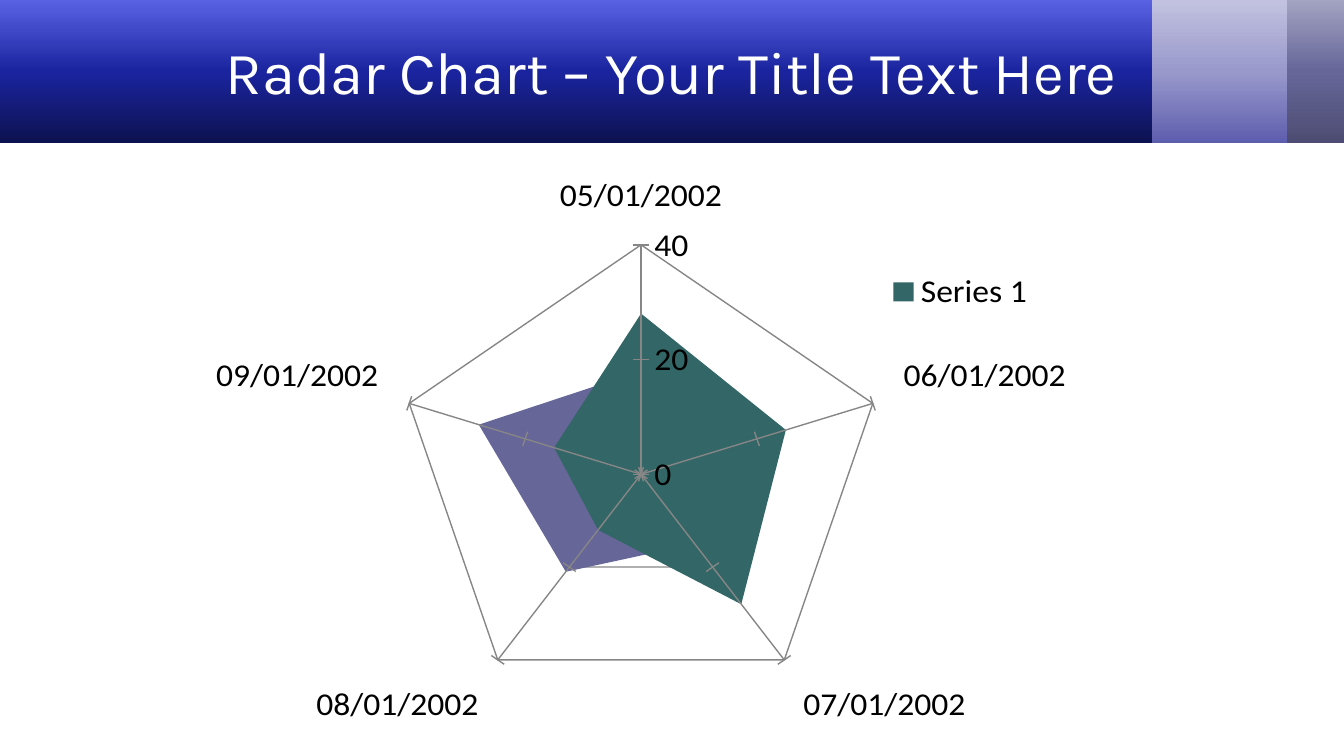
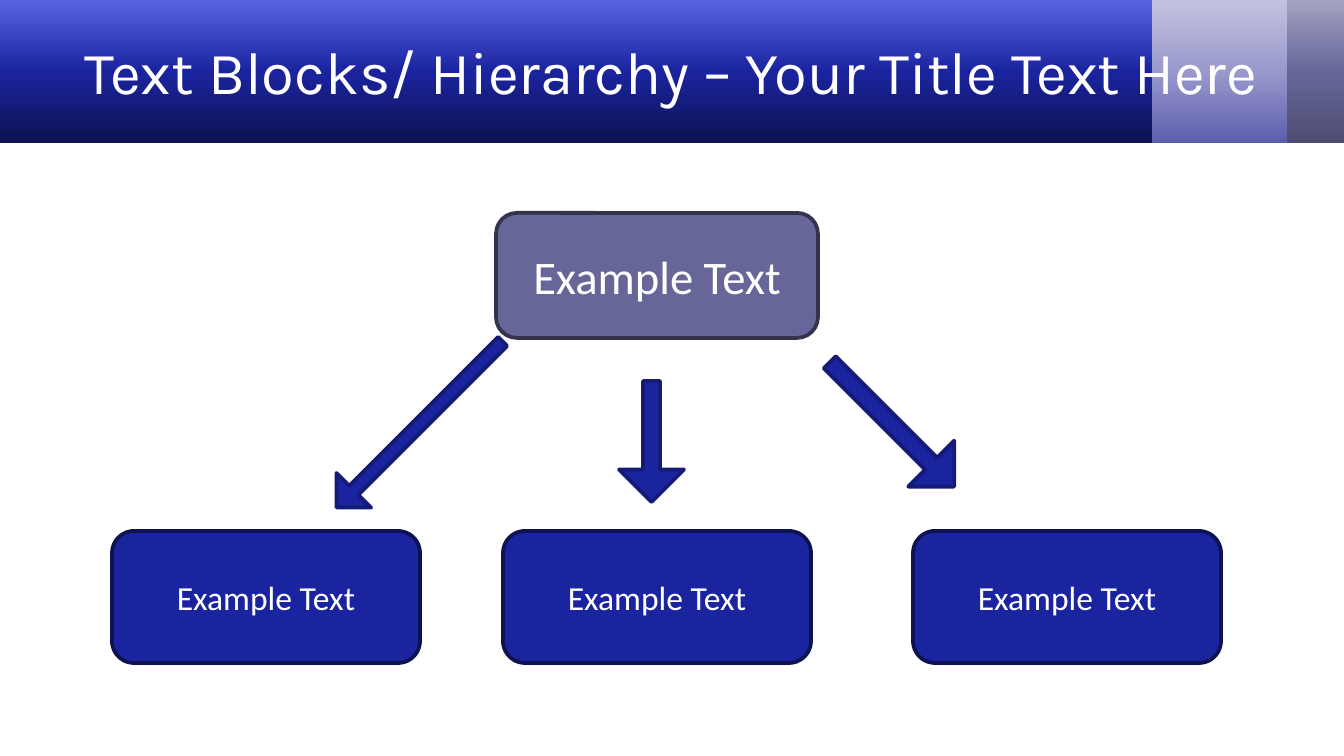
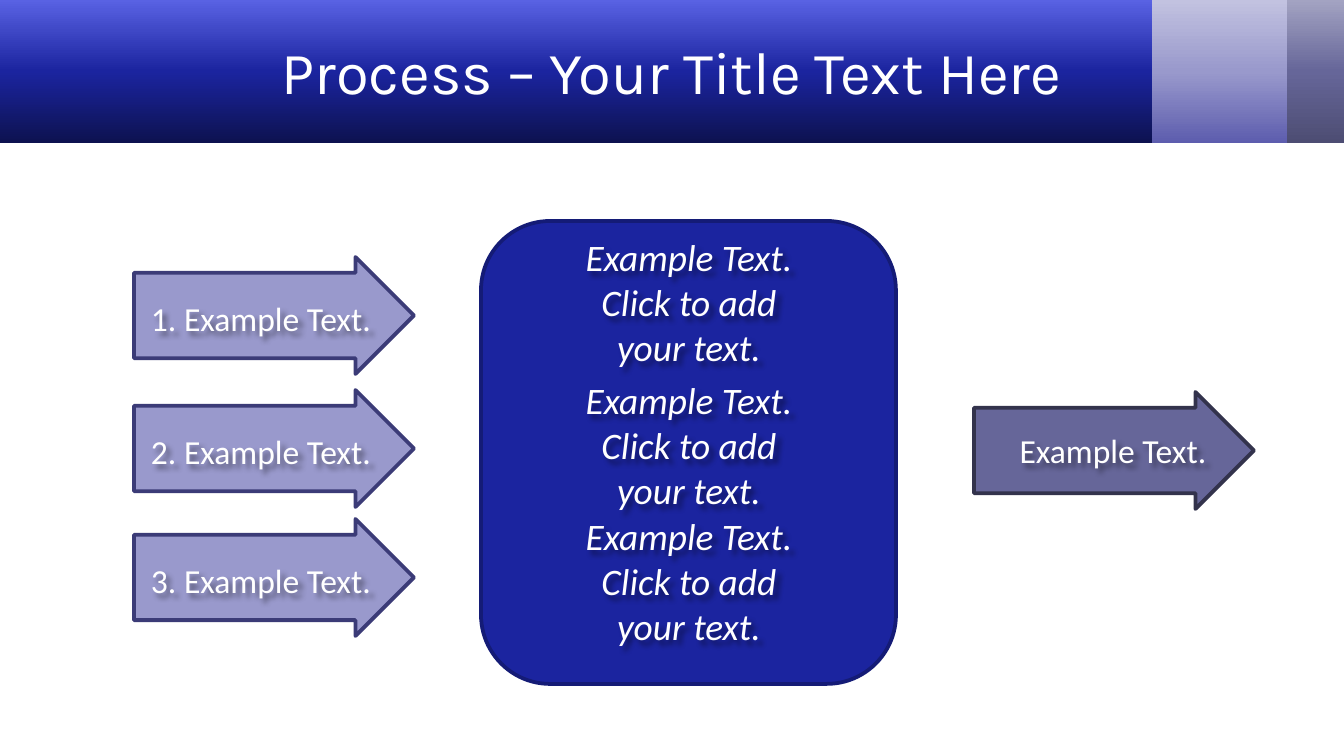
from dataclasses import dataclass

import pptx
import pptx.chart.data
import pptx.dml.color
import pptx.enum.chart
import pptx.enum.shapes
import pptx.enum.text
import pptx.oxml
import pptx.oxml.ns
import pptx.util

PX = 914400 / 134.4
SHAPE = pptx.enum.shapes.MSO_SHAPE
NSDECLS = pptx.oxml.ns.nsdecls("a", "c")


@dataclass(frozen=True)
class Theme:
    white: str = "FFFFFF"
    black: str = "000000"
    grid: str = "868686"
    blue: str = "1B249F"
    blue_edge: str = "141B76"
    navy: str = "0D1250"
    lilac: str = "9999CC"
    lilac_edge: str = "3B3B77"
    slate: str = "666699"
    slate_edge: str = "33334C"
    teal: str = "336666"
    blue_band: tuple = ("0D1250", "1B249F", "5962E3")
    lilac_band: tuple = ("5D5DAE", "9999CC", "C2C2E0")
    slate_band: tuple = ("4D4D73", "666699", "A3A3C2")
    title_font: str = "Karla"
    body_font: str = "Calibri"
    title_size: int = 32
    head_size: int = 25
    note_size: int = 20
    body_size: int = 18
    line_width: int = 2


THEME = Theme()


def emu(*lengths):
    return [pptx.util.Emu(round(n * PX)) for n in lengths]


def rgb(color):
    return pptx.dml.color.RGBColor.from_string(color)


def set_font(font, size, color, name=THEME.body_font, italic=False):
    font.name = name
    font.size = pptx.util.Pt(size)
    font.color.rgb = rgb(color)
    font.italic = italic


def write(sp, lines, size, name=THEME.body_font, italic=False):
    """Fill a shape with centred white paragraphs."""
    tf = sp.text_frame
    tf.word_wrap = True
    for i, line in enumerate(lines):
        p = tf.paragraphs[0] if i == 0 else tf.add_paragraph()
        p.text = line
        p.alignment = pptx.enum.text.PP_ALIGN.CENTER
        set_font(p.font, size, THEME.white, name, italic)
    return tf


# Shared header
def add_band(slide, left, width, height, colors):
    sp = slide.shapes.add_shape(SHAPE.RECTANGLE, *emu(left, 0, width, height))
    sp.shadow.inherit = False
    sp.line.fill.background()
    stops = "".join(
        f'<a:gs pos="{i * 50000}"><a:srgbClr val="{color}"/></a:gs>'
        for i, color in enumerate(colors))
    gradient = pptx.oxml.parse_xml(
        f'<a:gradFill {NSDECLS} rotWithShape="1"><a:gsLst>{stops}</a:gsLst>'
        '<a:lin ang="16200000" scaled="0"/></a:gradFill>')
    sp._element.spPr.find(pptx.oxml.ns.qn("a:prstGeom")).addnext(gradient)


def add_titled_slide(prs, title):
    slide = prs.slides.add_slide(prs.slide_layouts[6])
    add_band(slide, 1267, 77, 143, THEME.slate_band)
    add_band(slide, 1146, 141, 143, THEME.lilac_band)
    add_band(slide, 0, 1152, 143, THEME.blue_band)
    sp = slide.shapes.add_textbox(*emu(67, 8, 1210, 126))
    tf = write(sp, [title], THEME.title_size, THEME.title_font)
    tf.vertical_anchor = pptx.enum.text.MSO_ANCHOR.MIDDLE
    tf.margin_left = tf.margin_right = 0
    return slide


# Element kinds
def add_block(slide, kind, box, fill, edge, rotation=0, adjustments=()):
    sp = slide.shapes.add_shape(kind, *emu(*box))
    sp.shadow.inherit = False
    sp.fill.solid()
    sp.fill.fore_color.rgb = rgb(fill)
    sp.line.color.rgb = rgb(edge)
    sp.line.width = pptx.util.Pt(THEME.line_width)
    sp.rotation = rotation
    for i, value in enumerate(adjustments):
        sp.adjustments[i] = value
    return sp


def add_text_block(slide, box, text, size, fill, edge):
    sp = add_block(slide, SHAPE.ROUNDED_RECTANGLE, box, fill, edge)
    tf = write(sp, [text], size)
    tf.vertical_anchor = pptx.enum.text.MSO_ANCHOR.MIDDLE


def add_shadowed_text(slide, box, lines, size, italic=False):
    sp = slide.shapes.add_textbox(*emu(*box))
    tf = write(sp, lines, size, italic=italic)
    tf.auto_size = pptx.enum.text.MSO_AUTO_SIZE.SHAPE_TO_FIT_TEXT
    sp._element.spPr.append(pptx.oxml.parse_xml(
        f'<a:effectLst {NSDECLS}><a:outerShdw blurRad="38100" dist="38100" '
        'dir="2700000"><a:srgbClr val="000000"><a:alpha val="43000"/>'
        '</a:srgbClr></a:outerShdw></a:effectLst>'))


def manual_layout(x, y, w, h, inner=False):
    target = '<c:layoutTarget val="inner"/>' if inner else ""
    sizes = "".join(f'<c:{k} val="{v}"/>'
                    for k, v in zip("xywh", (x, y, w, h)))
    return pptx.oxml.parse_xml(
        f'<c:layout {NSDECLS}><c:manualLayout>{target}'
        '<c:xMode val="edge"/><c:yMode val="edge"/>'
        f'{sizes}</c:manualLayout></c:layout>')


def replace_layout(parent, layout, index):
    for old in parent.findall(pptx.oxml.ns.qn("c:layout")):
        parent.remove(old)
    parent.insert(index, layout)


def add_radar(slide, box, categories, series):
    data = pptx.chart.data.CategoryChartData()
    data.categories = categories
    for name, values, _ in series:
        data.add_series(name, values)
    chart = slide.shapes.add_chart(
        pptx.enum.chart.XL_CHART_TYPE.RADAR_FILLED, *emu(*box), data).chart
    set_font(chart.font, THEME.body_size, THEME.black)
    chart.has_title = False
    plot = chart.plots[0]
    plot.vary_by_categories = False
    for ser, (_, _, color) in zip(plot.series, series):
        ser.format.fill.solid()
        ser.format.fill.fore_color.rgb = rgb(color)
        ser.format.line.fill.background()

    # Axes
    marks = pptx.enum.chart.XL_TICK_MARK
    for axis, mark in ((chart.category_axis, marks.OUTSIDE),
                       (chart.value_axis, marks.CROSS)):
        axis.major_tick_mark = mark
        axis.has_major_gridlines = True
        for line in (axis.format.line, axis.major_gridlines.format.line):
            line.color.rgb = rgb(THEME.grid)
            line.width = pptx.util.Pt(0.75)
        set_font(axis.tick_labels.font, THEME.body_size, THEME.black)
    chart.value_axis.minimum_scale = 0
    chart.value_axis.maximum_scale = 40
    chart.value_axis.major_unit = 20

    # Legend showing the first series only
    chart.has_legend = True
    legend = chart.legend
    legend.position = pptx.enum.chart.XL_LEGEND_POSITION.RIGHT
    legend.include_in_layout = False
    set_font(legend.font, THEME.body_size, THEME.black)
    replace_layout(legend._element, manual_layout(0.68, 0.11, 0.15, 0.1), 1)
    legend._element.insert(1, pptx.oxml.parse_xml(
        f'<c:legendEntry {NSDECLS}><c:idx val="1"/><c:delete val="1"/>'
        '</c:legendEntry>'))
    replace_layout(chart._chartSpace.chart.plotArea,
                   manual_layout(0.15, 0.07, 0.61, 0.88, inner=True), 0)


# Slides
def build_radar_slide(prs):
    slide = add_titled_slide(prs, "Radar Chart – Your Title Text Here")
    add_radar(slide, (157, 176, 1064, 554),
              [f"{day:02}/01/2002" for day in range(5, 10)],
              [("Series 1", (28, 25, 28, 12, 15), THEME.teal),
               ("Series 2", (18, 16, 15, 21, 28), THEME.slate)])


def build_hierarchy_slide(prs):
    slide = add_titled_slide(
        prs, "Text Blocks/ Hierarchy – Your Title Text Here")
    for left in (112, 503, 913):
        add_text_block(slide, (left, 531, 308, 132), "Example Text",
                       THEME.body_size, THEME.blue, THEME.navy)
    for box, rotation in (((804, 392, 176, 65), 45),
                          ((302, 400, 235, 49), 135),
                          ((591, 409, 121, 65), 90)):
        add_block(slide, SHAPE.RIGHT_ARROW, box, THEME.blue, THEME.blue_edge,
                  rotation, (0.26, 0.5))
    add_text_block(slide, (496, 213, 322, 125), "Example Text",
                   THEME.head_size, THEME.slate, THEME.slate_edge)


def build_process_slide(prs):
    slide = add_titled_slide(prs, "Process – Your Title Text Here")
    add_block(slide, SHAPE.ROUNDED_RECTANGLE, (481, 221, 415, 463),
              THEME.blue, THEME.blue_edge)
    inputs = [(134, top, 126, top + 34, f"{n}. Example Text.",
               THEME.lilac, THEME.lilac_edge)
              for n, top in enumerate((257, 390, 519), 1)]
    output = (974, 392, 978, 423, "Example Text.",
              THEME.slate, THEME.slate_edge)
    for left, top, text_left, text_top, text, fill, edge in [*inputs, output]:
        add_block(slide, SHAPE.RIGHT_ARROW, (left, top, 280, 117), fill, edge,
                  adjustments=(0.73, 0.5))
        add_shadowed_text(slide, (text_left, text_top, 270, 54), [text],
                          THEME.body_size)
    for top in (228, 371, 507):
        add_shadowed_text(slide, (554, top, 270, 149),
                          ["Example Text.", "Click to add your text."],
                          THEME.note_size, italic=True)


def main():
    prs = pptx.Presentation()
    prs.slide_width, prs.slide_height = emu(1344, 756)
    build_radar_slide(prs)
    build_hierarchy_slide(prs)
    build_process_slide(prs)
    prs.save("out.pptx")


if __name__ == "__main__":
    main()
